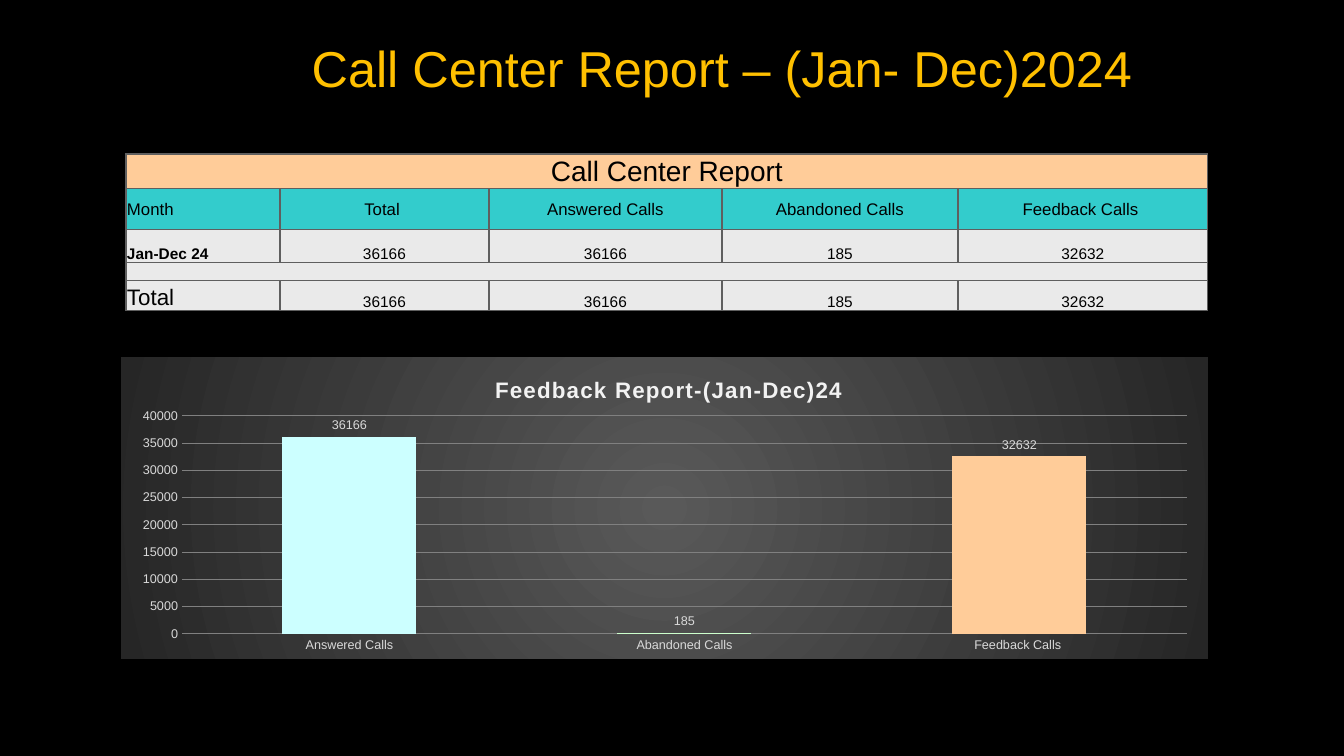
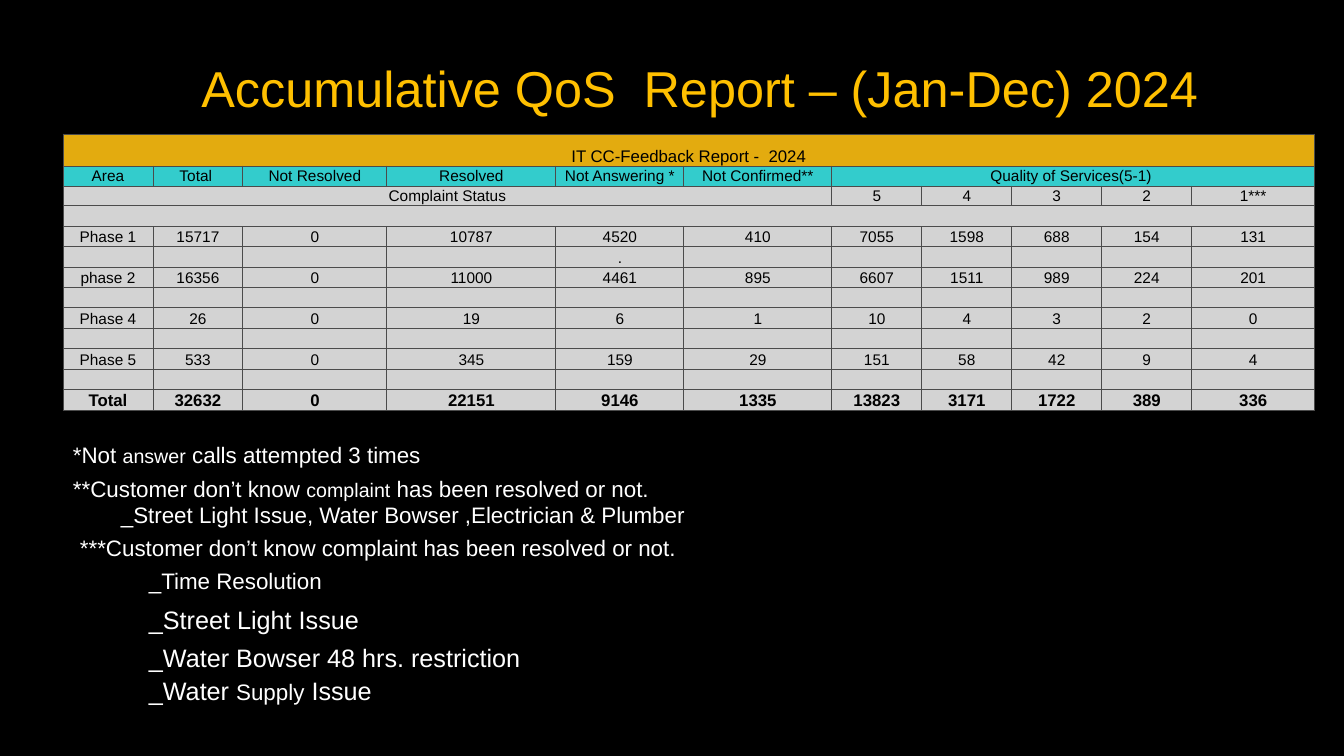
import itertools

import lxml.etree
import pptx
import pptx.chart.data
import pptx.dml.color
import pptx.enum.chart
import pptx.enum.text
import pptx.oxml.ns
import pptx.util

RGB = pptx.dml.color.RGBColor
ALIGN = pptx.enum.text.PP_ALIGN
ANCHOR = pptx.enum.text.MSO_ANCHOR
TICK = pptx.enum.chart.XL_TICK_MARK
qn = pptx.oxml.ns.qn

BLACK = RGB(0x00, 0x00, 0x00)
WHITE = RGB(0xFF, 0xFF, 0xFF)
GOLD = RGB(0xFF, 0xC0, 0x00)
AMBER = RGB(0xE3, 0xAB, 0x0F)
PEACH = RGB(0xFF, 0xCC, 0x99)
TEAL = RGB(0x33, 0xCC, 0xCC)
AQUA = RGB(0xCC, 0xFF, 0xFF)
MINT = RGB(0xCC, 0xFF, 0xCC)
PALE = RGB(0xEA, 0xEA, 0xEA)
SILVER = RGB(0xD3, 0xD3, 0xD3)
GRID = RGB(0x80, 0x80, 0x80)
LABEL = RGB(0xD9, 0xD9, 0xD9)
CHART_TITLE = RGB(0xF2, 0xF2, 0xF2)
BORDER_DARK = RGB(0x4B, 0x4B, 0x4B)
BORDER = RGB(0x5F, 0x5F, 0x5F)
CHART_INNER = RGB(0x59, 0x59, 0x59)
CHART_OUTER = RGB(0x26, 0x26, 0x26)

SCALE = 914400 / 100.8
FONT = "Arial"
NS = ('xmlns:c="http://schemas.openxmlformats.org/drawingml/2006/chart" '
      'xmlns:a="http://schemas.openxmlformats.org/drawingml/2006/main"')


def px(n):
    return pptx.util.Emu(round(n * SCALE))


def apply(obj, **values):
    for name, value in values.items():
        setattr(obj, name, value)


def style_font(font, size, color, bold=False):
    apply(font, name=FONT, size=pptx.util.Pt(size), bold=bold)
    font.color.rgb = color


def place(parent, index, target, **fractions):
    for old in parent.findall(qn("c:layout")):
        parent.remove(old)
    layout = lxml.etree.Element(qn("c:layout"))
    manual = lxml.etree.SubElement(layout, qn("c:manualLayout"))
    values = {"xMode": "edge", "yMode": "edge", **fractions}
    if target:
        values = {"layoutTarget": target, **values}
    for name, value in values.items():
        lxml.etree.SubElement(manual, qn("c:" + name), val=str(value))
    parent.insert(index, layout)


class Deck:
    def __init__(self):
        self.prs = pptx.Presentation()
        apply(self.prs, slide_width=px(1344), slide_height=px(756))

    def slide(self):
        self.s = self.prs.slides.add_slide(self.prs.slide_layouts[6])
        fill = self.s.background.fill
        fill.solid()
        fill.fore_color.rgb = BLACK

    def text(self, box, runs, color=WHITE, align=ALIGN.LEFT,
             anchor=ANCHOR.TOP, wrap=False):
        tf = self.s.shapes.add_textbox(*map(px, box)).text_frame
        apply(tf, word_wrap=wrap, vertical_anchor=anchor)
        p = tf.paragraphs[0]
        p.alignment = align
        for words, size in runs:
            r = p.add_run()
            r.text = words
            style_font(r.font, size, color)

    def title(self, box, words):
        self.text(box, [(words, 36)], GOLD, ALIGN.CENTER, ANCHOR.MIDDLE, True)

    def cell(self, cell, words, border, fill, size, anchor=ANCHOR.MIDDLE,
             bold=False, align=ALIGN.CENTER):
        apply(cell, margin_left=px(1), margin_right=px(1), margin_top=px(1),
              margin_bottom=0, vertical_anchor=anchor)
        color, width = border
        tcPr = cell._tc.get_or_add_tcPr()
        for side in "LRTB":
            ln = lxml.etree.SubElement(tcPr, qn("a:ln" + side),
                                       w=str(pptx.util.Pt(width)))
            solid = lxml.etree.SubElement(ln, qn("a:solidFill"))
            lxml.etree.SubElement(solid, qn("a:srgbClr"), val=str(color))
        cell.fill.solid()
        cell.fill.fore_color.rgb = fill
        p = cell.text_frame.paragraphs[0]
        p.alignment = align
        if words:
            r = p.add_run()
            r.text = words
            style_font(r.font, size, BLACK, bold)
        else:
            lxml.etree.SubElement(p._p, qn("a:endParaRPr"), sz="800")

    def table(self, x, y, widths, heights, border, rows):
        box = (x, y, sum(widths), sum(heights))
        tbl = self.s.shapes.add_table(len(heights), len(widths),
                                      *map(px, box)).table
        apply(tbl, first_row=False, horz_banding=False)
        for column, width in zip(tbl.columns, widths):
            column.width = px(width)
        for row, height in zip(tbl.rows, heights):
            row.height = px(height)
        for i, (texts, style, first) in enumerate(rows):
            for j, words in enumerate(texts):
                extra = first if j == 0 else {}
                self.cell(tbl.cell(i, j), words, border, **{**style, **extra})
            for j, words in enumerate(texts):
                tail = itertools.takewhile(lambda t: t is None, texts[j + 1:])
                span = len(list(tail))
                if words is not None and span:
                    tbl.cell(i, j).merge(tbl.cell(i, j + span))

    def column_chart(self, box, plot, title, title_at, points):
        x, y, w, h = box
        data = pptx.chart.data.CategoryChartData()
        data.categories = [name for name, _, _ in points]
        data.add_series("Series 1", [value for _, value, _ in points])
        chart = self.s.shapes.add_chart(
            pptx.enum.chart.XL_CHART_TYPE.COLUMN_CLUSTERED,
            *map(px, box), data).chart
        style_font(chart.font, 10, WHITE)
        apply(chart, has_legend=False, has_title=True)

        p = chart.chart_title.text_frame.paragraphs[0]
        r = p.add_run()
        r.text = title
        style_font(r.font, 16, CHART_TITLE, True)
        r._r.get_or_add_rPr().set("spc", "100")
        tx, ty = title_at
        place(chart.chart_title._element, 1, None,
              x=(tx - x) / w, y=(ty - y) / h)
        left, top, width, height = plot
        place(chart._chartSpace.find(".//" + qn("c:plotArea")), 0, "inner",
              x=(left - x) / w, y=(top - y) / h, w=width / w, h=height / h)

        for axis in (chart.category_axis, chart.value_axis):
            apply(axis, major_tick_mark=TICK.NONE, minor_tick_mark=TICK.NONE)
            style_font(axis.tick_labels.font, 9, LABEL)
            axis.format.line.fill.background()
        axis = chart.value_axis
        apply(axis, minimum_scale=0, maximum_scale=40000, major_unit=5000,
              has_major_gridlines=True)
        line = axis.major_gridlines.format.line
        line.width = pptx.util.Pt(0.75)
        line.color.rgb = GRID

        bars = chart.plots[0]
        apply(bars, gap_width=150, vary_by_categories=False)
        for i, (_, _, color) in enumerate(points):
            fill = bars.series[0].points[i].format.fill
            fill.solid()
            fill.fore_color.rgb = color
        labels = bars.series[0].data_labels
        apply(labels, show_value=True,
              position=pptx.enum.chart.XL_LABEL_POSITION.OUTSIDE_END)
        style_font(labels.font, 9, LABEL)
        self.radial_fill(chart)

    def radial_fill(self, chart):
        stops = "".join(
            f'<a:gs pos="{pos}"><a:srgbClr val="{color}"/></a:gs>'
            for pos, color in ((0, CHART_INNER), (100000, CHART_OUTER)))
        center = " ".join(f'{side}="50000"' for side in "ltrb")
        spPr = lxml.etree.fromstring(
            f'<c:spPr {NS}><a:gradFill><a:gsLst>{stops}</a:gsLst>'
            f'<a:path path="circle"><a:fillToRect {center}/></a:path>'
            f'</a:gradFill><a:ln><a:noFill/></a:ln></c:spPr>')
        chart._chartSpace.find(qn("c:chart")).addnext(spPr)


def call_center(deck):
    deck.slide()
    deck.title((176, 21, 1092, 93), "Call Center Report – (Jan- Dec)2024")
    counts = ["36166", "36166", "185", "32632"]
    head = dict(fill=TEAL, size=12)
    body = dict(fill=PALE, size=11, anchor=ANCHOR.BOTTOM)
    left = dict(align=ALIGN.LEFT)
    deck.table(126, 154, [154, 209, 233, 236, 250], [32, 41, 33, 18, 30],
               (BORDER, 1), [
        (["Call Center Report"] + [None] * 4, dict(fill=PEACH, size=20), {}),
        (["Month", "Total ", "Answered Calls", "Abandoned Calls",
          "Feedback Calls "], head, left),
        (["Jan-Dec 24"] + counts, body, dict(left, bold=True)),
        ([""] + [None] * 4, body, {}),
        (["Total"] + counts, body, dict(left, size=16)),
    ])
    deck.column_chart((121, 357, 1087, 302), (182, 416, 1005, 218),
                      "Feedback Report-(Jan-Dec)24", (491, 372), [
        ("Answered Calls", 36166, AQUA),
        ("Abandoned Calls", 185, MINT),
        ("Feedback Calls ", 32632, PEACH),
    ])


def quality_of_service(deck):
    deck.slide()
    deck.title((144, 41, 1112, 93), "Accumulative QoS  Report – (Jan-Dec) 2024")
    body = dict(fill=SILVER, size=11)
    blank = ([""] * 11, body, {})
    dot = ([""] * 4 + ["."] + [""] * 6, body, {})
    phases = [
        "Phase 1|15717|0|10787|4520|410|7055|1598|688|154|131",
        "phase 2|16356|0|11000|4461|895|6607|1511|989|224|201",
        "Phase 4|26|0|19|6|1|10|4|3|2|0",
        "Phase 5|533|0|345|159|29|151|58|42|9|4",
    ]
    rows = [
        (["IT CC-Feedback Report -  2024"] + [None] * 10,
         dict(fill=AMBER, size=12, anchor=ANCHOR.BOTTOM), {}),
        (["Area", "Total ", "Not Resolved", "Resolved", "Not Answering *",
          "Not Confirmed**", "Quality of Services(5-1) "] + [None] * 4,
         dict(fill=TEAL, size=11), {}),
        (["Complaint Status"] + [None] * 5 + ["5", "4", "3", "2", "1***"],
         body, {}),
        ([""] + [None] * 10, body, {}),
    ]
    for phase, gap in zip(phases, [dot, blank, blank, blank]):
        rows += [(phase.split("|"), body, {}), gap]
    total = "Total|32632|0|22151|9146|1335|13823|3171|1722|389|336"
    rows.append((total.split("|"), dict(fill=SILVER, size=12, bold=True), {}))
    heights = [32] + [245 * (i + 1) // 12 - 245 * i // 12 for i in range(12)]
    deck.table(63, 134, [90, 90, 144, 169, 128, 148, 90, 90, 90, 90, 123],
               heights, (BORDER_DARK, 0.75), rows)
    notes = [
        (63, 436, 381, [("*Not ", 16), ("answer", 14),
                        (" calls attempted 3 times", 16)]),
        (63, 470, 672, [("**Customer don’t know ", 16), ("complaint", 14),
                        (" has been resolved or not.", 16)]),
        (111, 496, 605, [("_Street Light Issue, Water Bowser ,"
                          "Electrician & Plumber", 16)]),
        (70, 529, 672, [("***Customer don’t know complaint has been "
                         "resolved or not.", 16)]),
        (139, 562, 202, [("_Time Resolution", 16)]),
        (139, 599, 233, [("_Street Light Issue", 18)]),
        (139, 637, 395, [("_Water Bowser 48 hrs. restriction", 18)]),
        (139, 670, 254, [("_Water ", 18), ("Supply", 16), (" Issue", 18)]),
    ]
    for x, y, w, runs in notes:
        deck.text((x, y, w, 40), runs)


def main():
    deck = Deck()
    call_center(deck)
    quality_of_service(deck)
    deck.prs.save("out.pptx")


if __name__ == "__main__":
    main()
